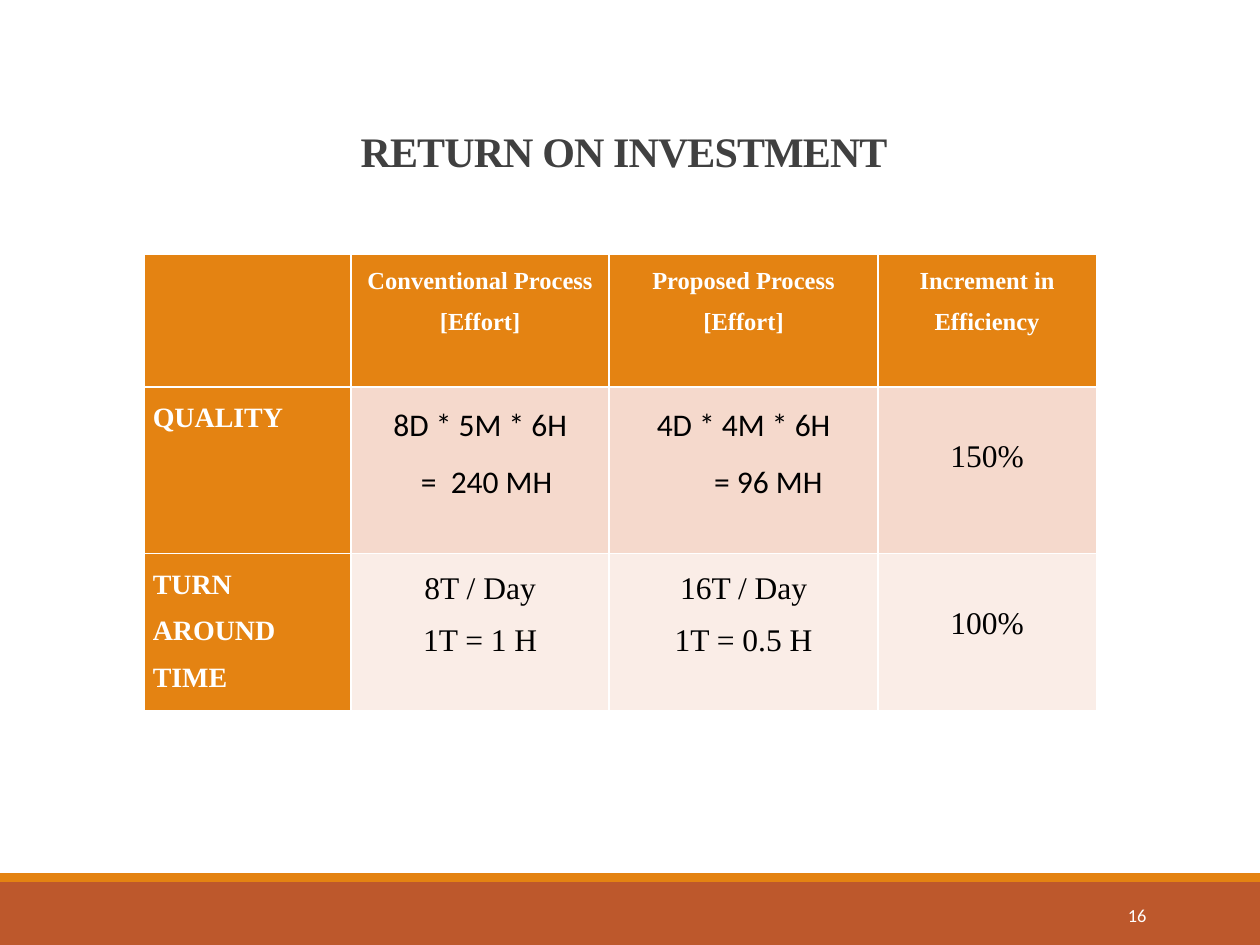
from pptx import Presentation
from pptx.dml.color import RGBColor
from pptx.enum.shapes import MSO_SHAPE
from pptx.enum.text import MSO_ANCHOR, PP_ALIGN
from pptx.util import Cm, Pt

WHITE = RGBColor(0xFF, 0xFF, 0xFF)
BLACK = RGBColor(0x00, 0x00, 0x00)
GREY = RGBColor(0x40, 0x40, 0x40)
RUST = RGBColor(0xBD, 0x58, 0x2C)
ORANGE = RGBColor(0xE4, 0x83, 0x12)
PINK = RGBColor(0xF5, 0xD9, 0xCC)
PALE = RGBColor(0xFA, 0xED, 0xE7)
TIMES = "Times New Roman"


def write(frame, text, size=18, font=TIMES, color=BLACK, bold=False,
          align=PP_ALIGN.CENTER, space=1.5, track=0, indent=0):
    frame.word_wrap = True
    for i, line in enumerate(text.split("\n")):
        para = frame.paragraphs[0] if i == 0 else frame.add_paragraph()
        para.alignment = align
        para.line_spacing = space
        if i and indent:
            para._p.get_or_add_pPr().set("marL", str(Cm(indent)))
        run = para.add_run()
        run.text = line
        run.font.name = font
        run.font.size = Pt(size)
        run.font.bold = bold
        run.font.color.rgb = color
        if track:
            run._r.get_or_add_rPr().set("spc", str(track))


deck = Presentation()
deck.slide_width = Cm(25.4)
deck.slide_height = Cm(19.05)
slide = deck.slides.add_slide(deck.slide_layouts[6])
shapes = slide.shapes

for top, high, color in [(17.78, 1.27, RUST), (17.6, 0.18, ORANGE)]:
    bar = shapes.add_shape(MSO_SHAPE.RECTANGLE, 0, Cm(top), Cm(25.4), Cm(high))
    bar.shadow.inherit = False
    bar.fill.solid()
    bar.fill.fore_color.rgb = color
    bar.line.fill.background()

page = shapes.add_textbox(Cm(20.62), Cm(17.93), Cm(2.74), Cm(1.02)).text_frame
page.vertical_anchor = MSO_ANCHOR.MIDDLE
write(page, "16", size=10.5, font="Calibri", color=WHITE,
      align=PP_ALIGN.RIGHT, space=1)

title = shapes.add_textbox(Cm(2.1), Cm(1.32), Cm(20.96), Cm(3.33)).text_frame
title.vertical_anchor = MSO_ANCHOR.BOTTOM
title.margin_bottom = Cm(1.1)
write(title, "RETURN ON INVESTMENT", size=24, color=GREY, bold=True,
      space=0.85, track=-50)

head = dict(size=14, color=WHITE, bold=True)
side = dict(size=16, color=WHITE, bold=True, align=PP_ALIGN.LEFT)
rows = [
    (2.67, ORANGE, [
        ("", head),
        ("Conventional Process [Effort]", head),
        ("Proposed Process [Effort]", head),
        ("Increment in\nEfficiency", head)]),
    (3.36, PINK, [
        ("QUALITY", side),
        ("8D * 5M * 6H\n=  240 MH", dict(font="Calibri", indent=0.26)),
        ("4D * 4M * 6H\n= 96 MH", dict(font="Calibri", indent=1)),
        ("150%", {})]),
    (3.16, PALE, [
        ("TURN AROUND TIME", side),
        ("8T / Day\n1T = 1 H", {}),
        ("16T / Day\n1T = 0.5 H", {}),
        ("100%", {})]),
]
wide = [4.18, 5.2, 5.42, 4.4]
grid = shapes.add_table(len(rows), len(wide), Cm(2.9), Cm(5.13),
                        Cm(sum(wide)), Cm(sum(row[0] for row in rows))).table
grid.first_col = True
grid.horz_banding = False
for col, width in zip(grid.columns, wide):
    col.width = Cm(width)
for r, (high, fill, cells) in enumerate(rows):
    grid.rows[r].height = Cm(high)
    for c, (text, style) in enumerate(cells):
        cell = grid.cell(r, c)
        cell.margin_left = cell.margin_right = Cm(0.18)
        cell.margin_top = Cm(0.71 if r and c == 3 else 0)
        cell.margin_bottom = 0
        cell.fill.solid()
        cell.fill.fore_color.rgb = fill if c else ORANGE
        if text:
            write(cell.text_frame, text, **style)

deck.save("out.pptx")
